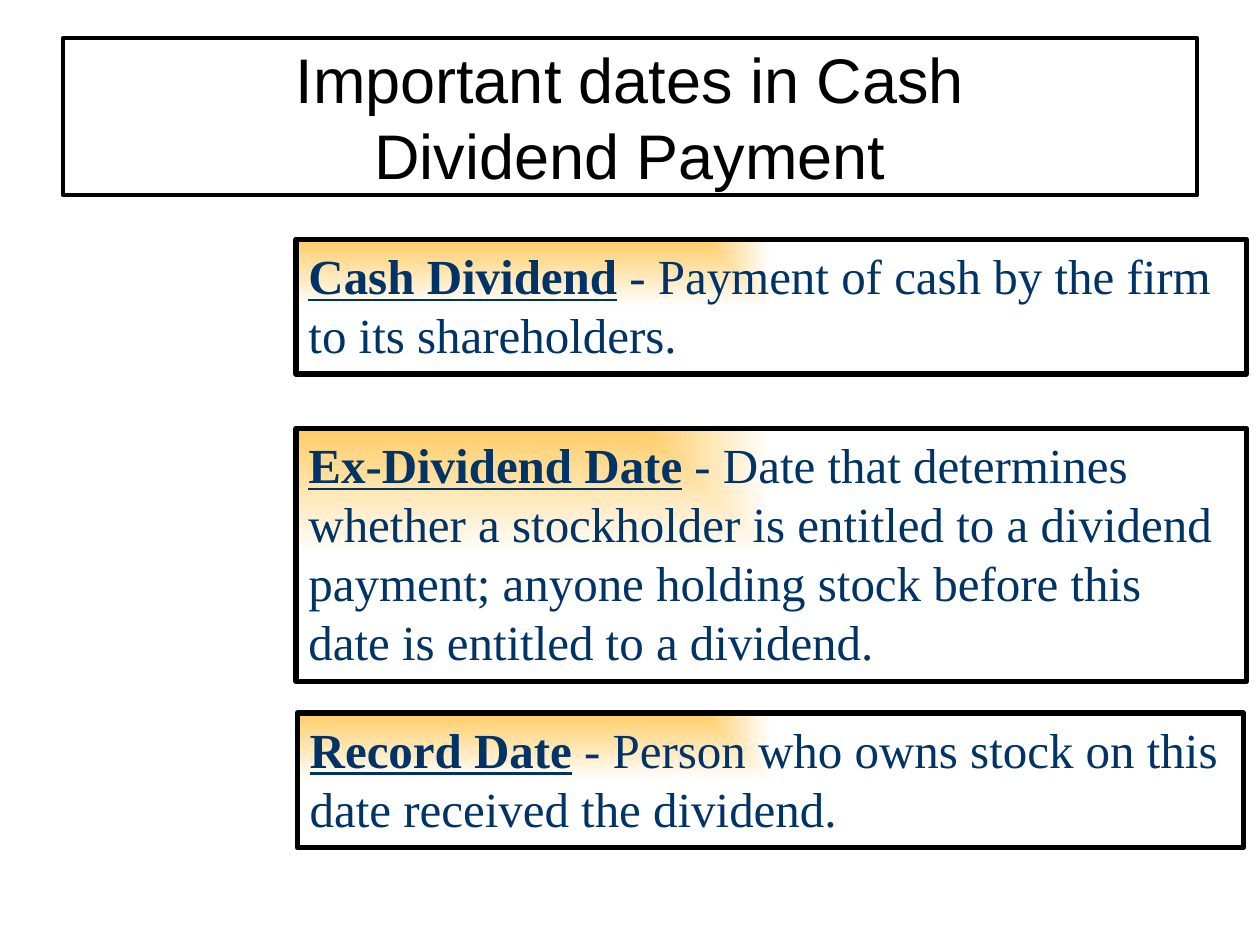
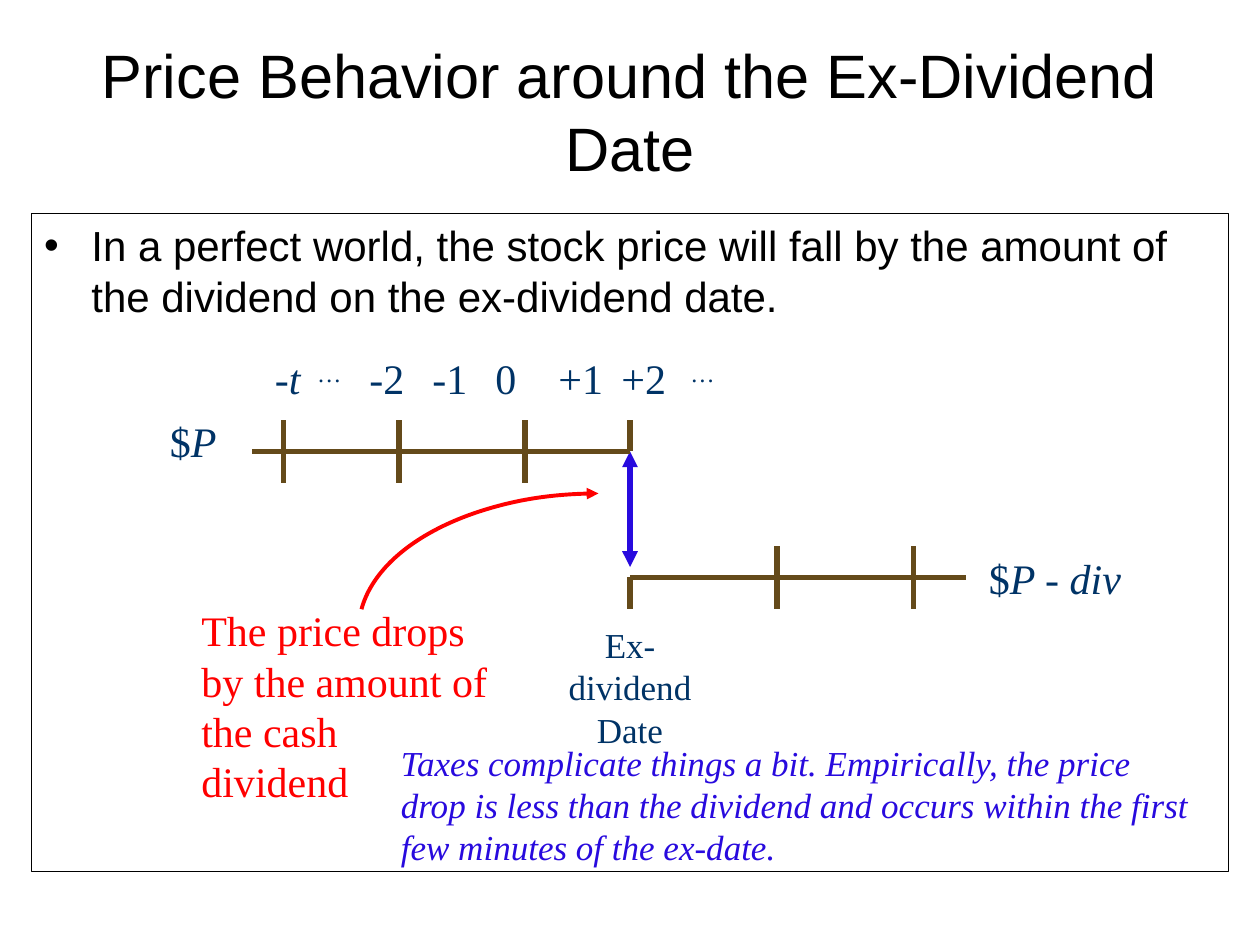
from dataclasses import dataclass

from lxml import etree
from pptx import Presentation
from pptx.dml.color import RGBColor
from pptx.enum import shapes, text
from pptx.oxml import ns
from pptx.util import Pt


@dataclass(frozen=True)
class Theme:
    sans: str = "Arial"
    serif: str = "Times New Roman"
    black: str = "000000"
    white: str = "FFFFFF"
    navy: str = "003366"
    gold: str = "FFCC66"
    brown: str = "644A1A"
    blue: str = "280ADE"
    red: str = "FF0000"
    title: int = 36
    long_title: int = 35
    term: int = 28
    body: int = 24
    note: int = 20
    thick: float = 3


@dataclass(frozen=True)
class Box:
    x: float
    y: float
    w: float
    h: float

    def inner(self, dx, dy, w, h):
        return Box(self.x + dx, self.y + dy, w, h)

    def pts(self):
        return [Pt(v) for v in (self.x, self.y, self.w, self.h)]


T = Theme()


def rgb(color):
    return RGBColor.from_string(color)


def set_line(sp, color, width):
    sp.line.color.rgb = rgb(color)
    sp.line.width = Pt(width)


def add_arrowheads(sp, *ends):
    ln = sp.line._get_or_add_ln()
    for end in ends:
        etree.SubElement(ln, ns.qn(f"a:{end}"), type="triangle")


def style(p, size, color, font=T.serif, italic=None, align=text.PP_ALIGN.LEFT):
    p.alignment = align
    p.font.name, p.font.size, p.font.italic = font, Pt(size), italic
    p.font.color.rgb = rgb(color)


def fill_placeholder(sp, box, words, size, align):
    sp.left, sp.top, sp.width, sp.height = box.pts()
    tf = sp.text_frame
    tf.text = words
    tf.auto_size = text.MSO_AUTO_SIZE.NONE
    style(tf.paragraphs[0], size, T.black, T.sans, align=align)


def add_title(s, box, words, size):
    fill_placeholder(s.shapes.title, box, words, size, text.PP_ALIGN.CENTER)


def add_label(s, box, parts, size=T.body, color=T.navy, **kw):
    tf = s.shapes.add_textbox(*box.pts()).text_frame
    tf.word_wrap = True
    p = tf.paragraphs[0]
    style(p, size, color, **kw)
    for part in parts:
        p.add_run().text = part
    return p


def add_line(parent, x1, y1, x2, y2, color=T.brown):
    cx = parent.shapes.add_connector(
        shapes.MSO_CONNECTOR.STRAIGHT, Pt(x1), Pt(y1), Pt(x2), Pt(y2))
    set_line(cx, color, T.thick)
    etree.SubElement(cx._element.spPr, ns.qn("a:effectLst"))
    return cx


def corner_gradient(sp):
    sp.fill.gradient()
    for stop, color in zip(sp.fill.gradient_stops, (T.gold, T.white)):
        stop.color.rgb = rgb(color)
    grad = sp._element.spPr.find(ns.qn("a:gradFill"))
    grad.remove(grad.find(ns.qn("a:lin")))
    shade = etree.SubElement(grad, ns.qn("a:path"), {"path": "rect"})
    etree.SubElement(shade, ns.qn("a:fillToRect"), r="100000", b="100000")


def add_definition(s, box, term, meaning):
    sp = s.shapes.add_shape(shapes.MSO_SHAPE.RECTANGLE, *box.pts())
    sp.shadow.inherit = False
    corner_gradient(sp)
    set_line(sp, T.black, T.thick)
    tf = sp.text_frame
    tf.word_wrap = True
    tf.vertical_anchor = text.MSO_ANCHOR.TOP
    p = tf.paragraphs[0]
    style(p, T.term, T.navy)
    for words, marked in ((term, True), (f" - {meaning}", False)):
        r = p.add_run()
        r.text = words
        r.font.bold = r.font.underline = marked
        r.font.color.rgb = rgb(T.navy)


def add_price_level(s, box, axis, ticks):
    grp = s.shapes.add_group_shape()
    mid = box.y + box.h / 2
    add_line(grp, box.x, mid, box.x + box.w, mid)
    for dx in ticks:
        add_line(grp, box.x + dx, box.y + box.h, box.x + dx, box.y)
    dx, top, bottom = axis
    add_line(grp, box.x + dx, box.y + bottom, box.x + dx, box.y + top)


def add_day_labels(s, box):
    parts = ["-", "t ", " …", "\t-2\t-1\t0\t+1\t+2\t", " …"]
    p = add_label(s, box, parts)
    p._p.get_or_add_pPr().set("indent", str(Pt(18)))
    p.runs[1].font.italic = True
    for i in (2, 4):
        p.runs[i].font._element.set("baseline", "30000")


def add_drop_pointer(s, box):
    arc = s.shapes.add_shape(shapes.MSO_SHAPE.ARC, *box.pts())
    arc.shadow.inherit = False
    arc.fill.background()
    for i, degrees in enumerate((185, 270)):
        arc.adjustments[i] = degrees * 0.6
    set_line(arc, T.red, 2.25)
    add_arrowheads(arc, "tailEnd")


def add_timeline(s, box):
    at = box.inner
    price = add_label(s, at(72, 112, 54, 36), ["$", "P"])
    after = add_label(s, at(540, 190, 102, 36), ["$", "P - div"])
    for p in (price, after):
        p.runs[1].font.italic = True
    x = box.x + 342
    drop = add_line(s, x, box.y + 202, x, box.y + 136, T.blue)
    add_arrowheads(drop, "headEnd", "tailEnd")
    add_label(s, at(294, 231, 96, 79), ["Ex-dividend Date"], T.note,
              align=text.PP_ALIGN.CENTER)
    add_label(s, at(90, 220, 180, 122),
              ["The price drops by the amount of the cash dividend"], color=T.red)
    add_day_labels(s, at(114, 76, 474, 36))
    add_drop_pointer(s, at(187, 160, 274, 156))
    add_price_level(s, at(126, 118, 216, 36), (216, 0, 18), (18, 84, 156))
    add_price_level(s, at(342, 190, 192, 36), (0, 18, 36), (84, 162))
    add_label(s, at(204, 298, 468, 79),
              ["Taxes complicate things a bit. Empirically, the price drop is less "
               "than the dividend and occurs within the first few minutes of the "
               "ex-date."], T.note, T.blue, italic=True)


def dates_slide(prs):
    s = prs.slides.add_slide(prs.slide_layouts[5])
    add_title(s, Box(36, 21.6, 648, 90),
              "Important dates in Cash\vDividend Payment", T.title)
    title = s.shapes.title
    title.fill.solid()
    title.fill.fore_color.rgb = rgb(T.white)
    set_line(title, T.black, 2.25)
    add_definition(s, Box(169.9, 407.5, 540.7, 77), "Record Date",
                   "Person who owns stock on this date received the dividend.")
    add_definition(s, Box(169.2, 244.8, 543, 144.7), "Ex-Dividend Date",
                   "Date that determines whether a stockholder is entitled to a "
                   "dividend payment; anyone holding stock before this date is "
                   "entitled to a dividend.")
    add_definition(s, Box(169.2, 136.8, 543, 77), "Cash Dividend",
                   "Payment of cash by the firm to its shareholders.")


def price_slide(prs):
    s = prs.slides.add_slide(prs.slide_layouts[1])
    add_title(s, Box(18, 24, 684, 78),
              "Price Behavior around the Ex-Dividend Date", T.long_title)
    box = Box(18, 122, 684, 376)
    body = s.placeholders[1]
    fill_placeholder(body, box,
                     "In a perfect world, the stock price will fall by the amount of "
                     "the dividend on the ex-dividend date.",
                     T.body, text.PP_ALIGN.LEFT)
    set_line(body, T.black, 0.75)
    add_timeline(s, box)


def main():
    prs = Presentation()
    prs.slide_width, prs.slide_height = Pt(720), Pt(540)
    dates_slide(prs)
    price_slide(prs)
    prs.save("out.pptx")


if __name__ == "__main__":
    main()
